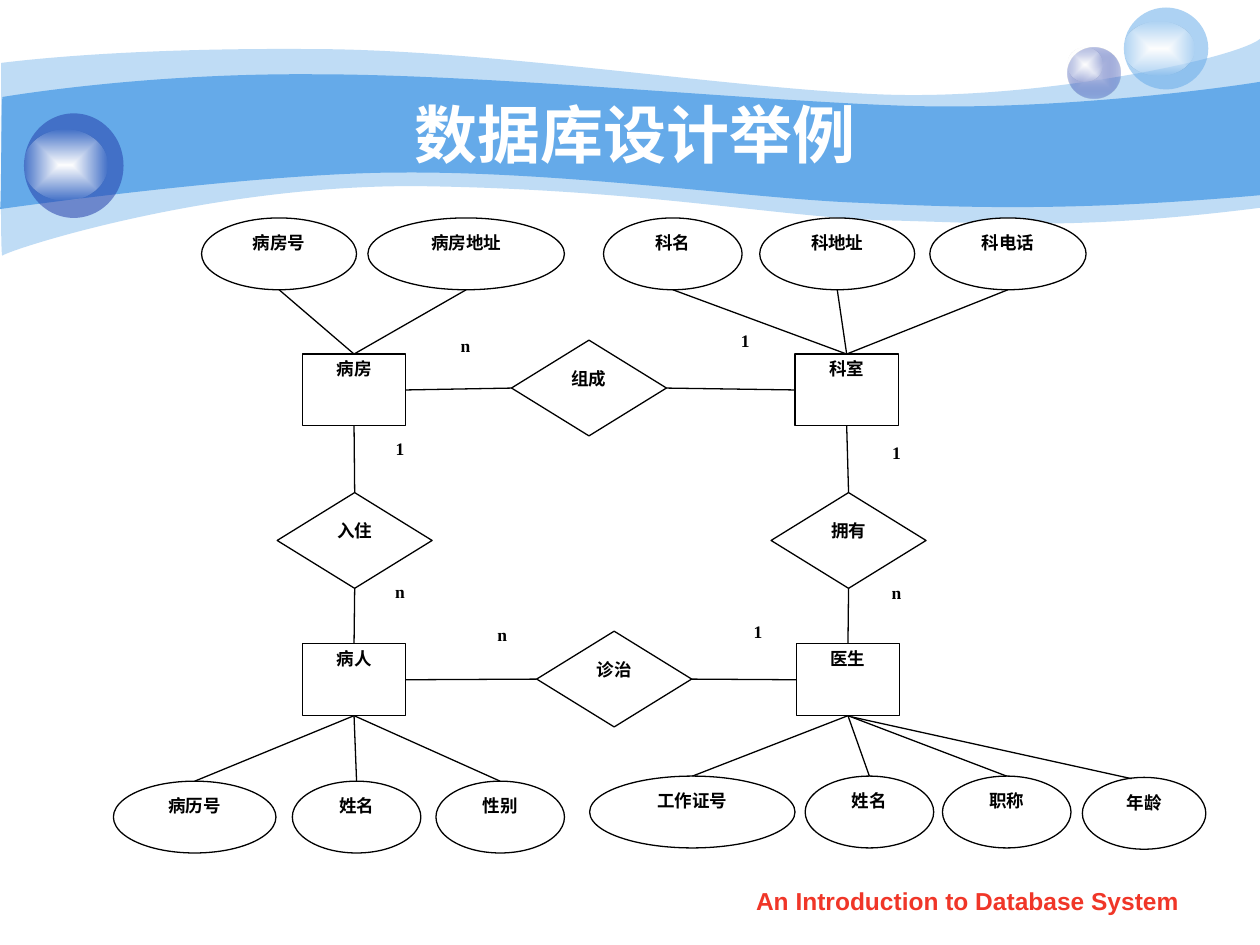
from dataclasses import dataclass

from lxml import etree
from pptx import Presentation
from pptx.dml.color import RGBColor
from pptx.enum import shapes, text
from pptx.oxml.ns import qn
from pptx.util import Inches, Pt


@dataclass(frozen=True)
class Theme:
    sky: str = "65AAE9"
    navy: str = "233DA9"
    lilac: str = "C7CEE9"
    white: str = "FFFFFF"
    black: str = "000000"
    red: str = "F03628"
    sans: str = "Arial"
    serif: str = "Times New Roman"
    title_size: int = 36
    footer_size: int = 14
    label_size: int = 10
    line_width: float = 0.75


THEME = Theme()
KINDS = shapes.MSO_SHAPE

# Each wave: start point, then cubic curves (6 numbers) or straight lines (2 numbers).
PALE_WAVE = [
    (0.01, 0.5), (0.25, 0.47, 1.08, 0.38, 2.47, 0.39),
    (3.86, 0.39, 5.76, 0.7, 6.99, 0.75), (8.22, 0.8, 9.8, 0.47, 10, 0.31),
    (10, 1.65), (8.58, 1.83, 7.88, 1.77, 7.05, 1.75),
    (6.22, 1.73, 5.15, 1.51, 3.44, 1.48), (1.72, 1.44, 0.05, 1.99, 0.02, 2.03),
    (0, 2.08, 0.01, 0.75, 0.01, 0.5),
]
STRONG_WAVE = [
    (0.02, 0.77), (0.03, 0.77, 1.11, 0.58, 2.49, 0.59),
    (3.87, 0.59, 5.96, 0.8, 7.18, 0.84), (8.41, 0.88, 9.76, 0.69, 10, 0.65),
    (10, 1.55), (8.53, 1.68, 7.66, 1.65, 6.82, 1.61),
    (5.99, 1.58, 4.48, 1.36, 3.18, 1.37), (2.04, 1.37, -0.01, 1.66, 0, 1.66),
    (0.01, 1.66, 0.01, 0.77, 0.02, 0.77),
]

ENTITY_SIZE = (0.82, 0.57)
RELATION_SIZE = (1.23, 0.76)
ATTRIBUTE_HEIGHT = 0.57
ENTITIES = {"病房": (2.4, 2.81), "科室": (6.31, 2.81),
            "病人": (2.4, 5.11), "医生": (6.32, 5.11)}
# Relation: position, linked entities, and whether the links run across or down.
RELATIONS = {
    "组成": ((4.06, 2.7), ("病房", "科室"), "across"),
    "入住": ((2.2, 3.91), ("病房", "病人"), "down"),
    "拥有": ((6.12, 3.91), ("科室", "医生"), "down"),
    "诊治": ((4.26, 5.01), ("病人", "医生"), "across"),
}
# Entity: side its attributes hang from, their top, and (name, left, width) of each.
ATTRIBUTES = {
    "病房": ("top", 1.73, [("病房号", 1.6, 1.23), ("病房地址", 2.92, 1.56)]),
    "科室": ("top", 1.73, [("科名", 4.79, 1.1), ("科地址", 6.03, 1.23),
                         ("科电话", 7.38, 1.24)]),
    "病人": ("bottom", 6.2, [("病历号", 0.9, 1.29), ("姓名", 2.32, 1.02),
                           ("性别", 3.46, 1.02)]),
    "医生": ("bottom", 6.16, [("工作证号", 4.68, 1.63), ("姓名", 6.39, 1.02),
                            ("职称", 7.48, 1.02)]),
}
CARDINALITIES = [
    ("n", 6.81, 4.59, 0.61), ("n", 2.87, 4.58, 0.61), ("1", 2.87, 3.45, 0.61),
    ("1", 6.81, 3.48, 0.61), ("n", 3.68, 4.92, 0.61), ("n", 3.49, 2.63, 0.41),
    ("1", 5.61, 2.59, 0.61), ("1", 5.71, 4.9, 0.61),
]


def rgb(color):
    return RGBColor.from_string(color)


def set_alphas(sp, *alphas):
    """Set the opacity in percent of each fill colour in turn."""
    for color, alpha in zip(sp.element.spPr.iter(qn("a:srgbClr")), alphas):
        etree.SubElement(color, qn("a:alpha"), val=str(alpha * 1000))


def fill_plain(sp, color, alpha=100):
    sp.shadow.inherit = False
    sp.fill.solid()
    sp.fill.fore_color.rgb = rgb(color)
    if alpha < 100:
        set_alphas(sp, alpha)
    sp.line.fill.background()


def fill_glow(sp, inner, outer, outer_alpha):
    """Fill from the centre outwards."""
    sp.shadow.inherit = False
    sp.fill.gradient()
    for stop, color, position in zip(sp.fill.gradient_stops, (inner, outer), (0, 1)):
        stop.color.rgb, stop.position = rgb(color), position
    set_alphas(sp, 100, outer_alpha)
    grad = sp.element.spPr.find(qn("a:gradFill"))
    grad.remove(grad.find(qn("a:lin")))
    rect_path = etree.SubElement(grad, qn("a:path"), path="rect")
    etree.SubElement(rect_path, qn("a:fillToRect"),
                     {side: "50000" for side in "ltrb"})
    sp.line.fill.background()


def bend(sp, outline):
    """Turn each run of three straight segments that stands for a curve into one."""
    segments = iter(list(sp.element.spPr.iter(qn("a:lnTo"))))
    for part in outline[1:]:
        first = next(segments)
        if len(part) == 2:
            continue
        curve = etree.Element(qn("a:cubicBezTo"))
        first.addprevious(curve)
        for segment in (first, next(segments), next(segments)):
            curve.append(segment[0])
            segment.getparent().remove(segment)


def add_wave(s, outline, alpha=100):
    points = [(Inches(part[i]), Inches(part[i + 1]))
              for part in outline for i in range(0, len(part), 2)]
    builder = s.shapes.build_freeform(*points[0])
    builder.add_line_segments(points[1:], close=True)
    wave = builder.convert_to_shape()
    bend(wave, outline)
    fill_plain(wave, THEME.sky, alpha)


def add_preset(s, kind, *box):
    return s.shapes.add_shape(kind, *map(Inches, box))


def add_bubbles(s):
    lilac = add_preset(s, KINDS.OVAL, 8.47, 0.38, 0.42, 0.4)
    fill_glow(lilac, THEME.lilac, THEME.navy, 31)
    blue = add_preset(s, KINDS.OVAL, 8.92, 0.06, 0.67, 0.65)
    fill_plain(blue, THEME.sky, 53)
    navy = add_preset(s, KINDS.OVAL, 0.19, 0.9, 0.79, 0.83)
    fill_plain(navy, THEME.navy, 53)
    for box in ((8.47, 0.38, 0.28, 0.27), (8.92, 0.17, 0.56, 0.43),
                (0.19, 1.03, 0.66, 0.56)):
        fill_glow(add_preset(s, KINDS.OVAL, *box), THEME.white, THEME.white, 0)


def write(sp, words, font, size, color, **frame):
    tf = sp.text_frame
    settings = {"word_wrap": True, "auto_size": text.MSO_AUTO_SIZE.NONE, **frame}
    for name, value in settings.items():
        setattr(tf, name, value)
    p = tf.paragraphs[0]
    p.alignment = text.PP_ALIGN.CENTER
    r = p.add_run()
    r.text = words
    for name, value in {"name": font, "size": Pt(size), "bold": True}.items():
        setattr(r.font, name, value)
    r.font.color.rgb = rgb(color)


def add_node(s, kind, words, *box, outlined=True):
    sp = add_preset(s, kind, *box)
    fill_plain(sp, THEME.white)
    if outlined:
        sp.line.color.rgb = rgb(THEME.black)
        sp.line.width = Pt(THEME.line_width)
    write(sp, words, THEME.serif, THEME.label_size, THEME.black,
          vertical_anchor=text.MSO_ANCHOR.TOP,
          margin_left=Inches(0.07), margin_right=Inches(0.07),
          margin_top=Inches(0.03), margin_bottom=Inches(0.03))
    return sp


def side(sp, name):
    """Middle of one side of a shape."""
    x, y = {"top": (0.5, 0), "bottom": (0.5, 1),
            "left": (0, 0.5), "right": (1, 0.5)}[name]
    return int(sp.left + x * sp.width), int(sp.top + y * sp.height)


def add_link(s, start, end):
    link = s.shapes.add_connector(shapes.MSO_CONNECTOR.STRAIGHT, *start, *end)
    link.line.color.rgb = rgb(THEME.black)
    link.line.width = Pt(THEME.line_width)
    etree.SubElement(link.element.spPr, qn("a:effectLst"))


def add_diagram(s):
    for words, x, y, width in CARDINALITIES:
        add_node(s, KINDS.RECTANGLE, words, x, y, width, 0.57, outlined=False)
    entities = {name: add_node(s, KINDS.RECTANGLE, name, *at, *ENTITY_SIZE)
                for name, at in ENTITIES.items()}
    for name, (at, (first, second), direction) in RELATIONS.items():
        relation = add_node(s, KINDS.DIAMOND, name, *at, *RELATION_SIZE)
        before, after = ("left", "right") if direction == "across" else ("top", "bottom")
        add_link(s, side(relation, before), side(entities[first], after))
        add_link(s, side(relation, after), side(entities[second], before))
    for name, (near, top, attributes) in ATTRIBUTES.items():
        far = "bottom" if near == "top" else "top"
        for words, left, width in attributes:
            oval = add_node(s, KINDS.OVAL, words, left, top, width, ATTRIBUTE_HEIGHT)
            add_link(s, side(entities[name], near), side(oval, far))
    add_node(s, KINDS.OVAL, "年龄", 8.59, 6.17, 0.98, ATTRIBUTE_HEIGHT)
    add_link(s, (Inches(6.76), Inches(5.69)), (Inches(8.98), Inches(6.18)))


def add_title(s, words):
    title = s.shapes.title
    s.shapes.element.append(title.element)  # in front of the waves
    box = {"left": 1, "top": 0.75, "width": 8.08, "height": 0.62}
    for name, value in box.items():
        setattr(title, name, Inches(value))
    write(title, words, THEME.sans, THEME.title_size, THEME.white,
          vertical_anchor=text.MSO_ANCHOR.MIDDLE)


def add_footer(s, words):
    footer = s.shapes.add_textbox(*map(Inches, (5.71, 6.98, 3.94, 0.35)))
    write(footer, words, THEME.sans, THEME.footer_size, THEME.red)


def main():
    prs = Presentation()
    prs.slide_width, prs.slide_height = Inches(10), Inches(7.5)
    s = prs.slides.add_slide(prs.slide_layouts[5])
    add_wave(s, PALE_WAVE, 41)
    add_wave(s, STRONG_WAVE)
    add_bubbles(s)
    add_title(s, "数据库设计举例")
    add_footer(s, "An Introduction to Database System")
    add_diagram(s)
    prs.save("out.pptx")


if __name__ == "__main__":
    main()
